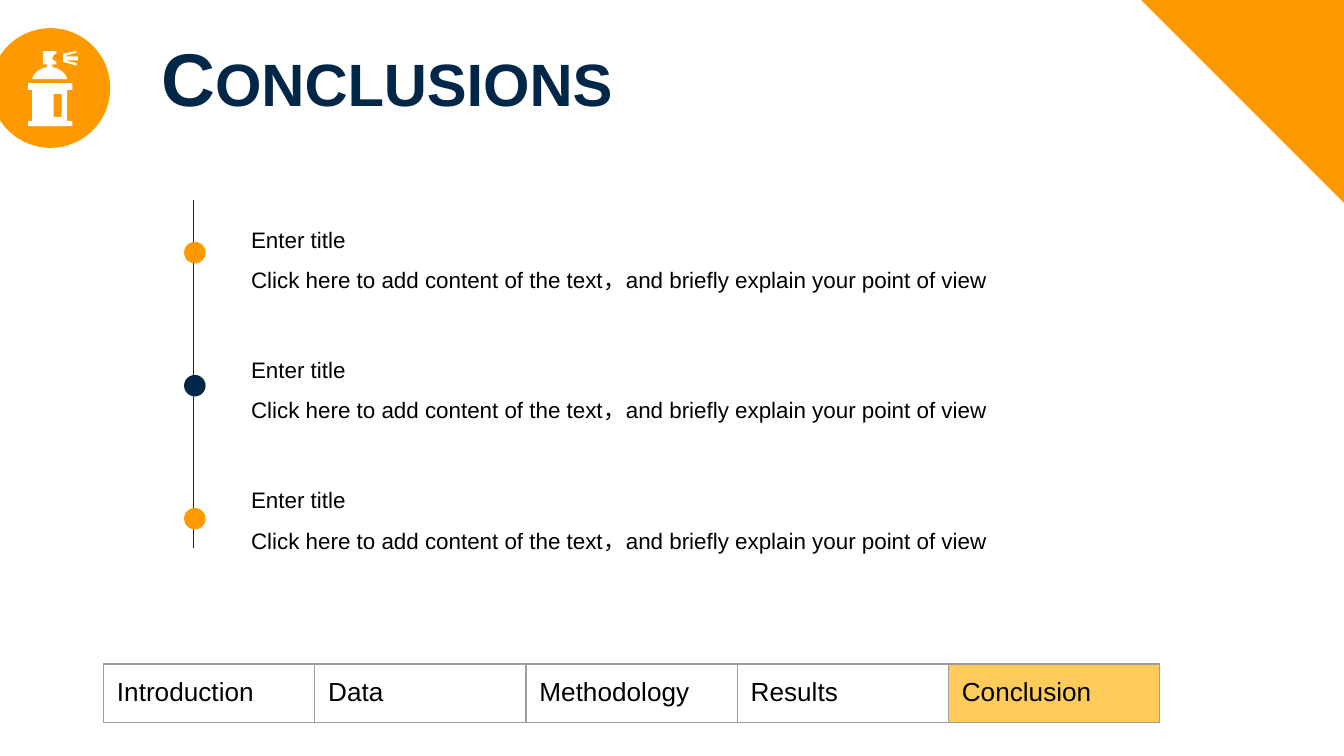
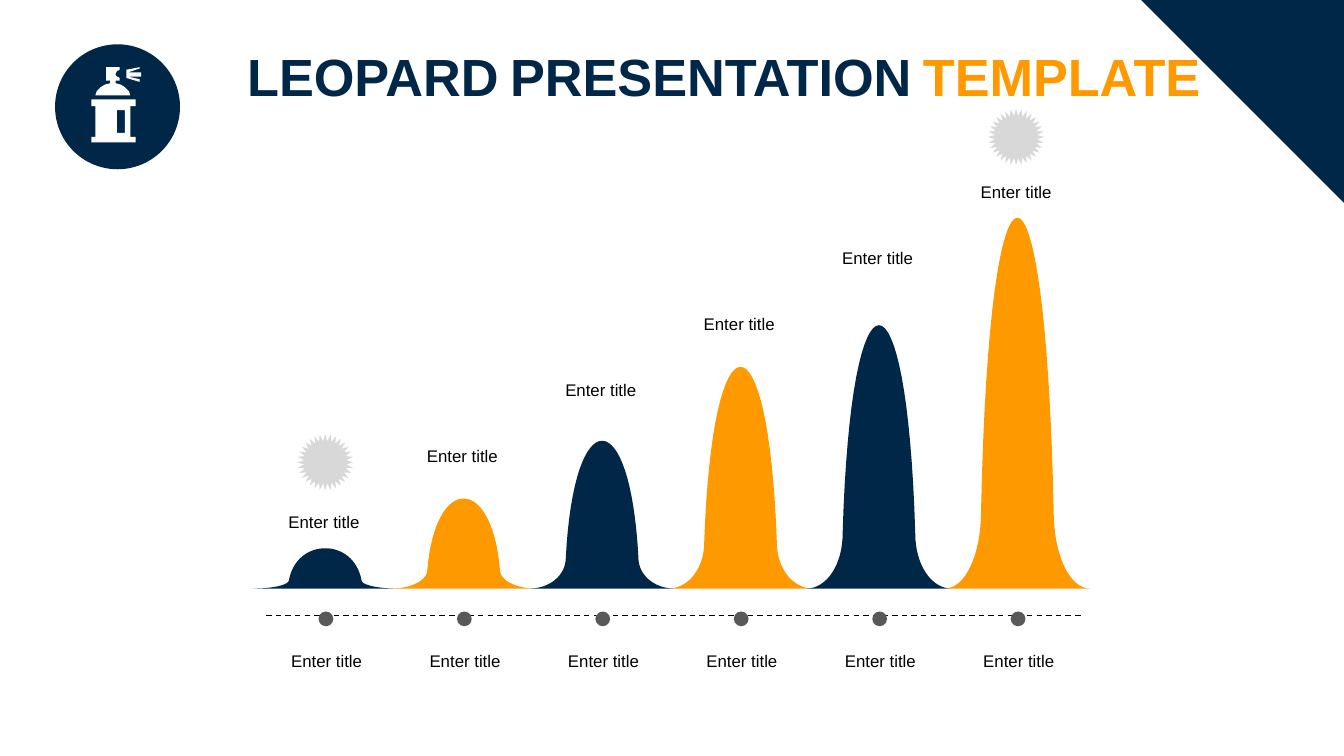
from copy import deepcopy
from dataclasses import dataclass

from lxml import etree
from pptx import Presentation
from pptx.dml.color import RGBColor
from pptx.enum.dml import MSO_LINE
from pptx.enum.shapes import MSO_CONNECTOR, MSO_SHAPE
from pptx.enum.text import PP_ALIGN
from pptx.oxml.ns import qn
from pptx.util import Inches, Pt

OVAL = MSO_SHAPE.OVAL
WEDGE = MSO_SHAPE.RIGHT_TRIANGLE
STAR = MSO_SHAPE.STAR_32_POINT
STRAIGHT = MSO_CONNECTOR.STRAIGHT
DASH = MSO_LINE.DASH
LEFT, CENTER = PP_ALIGN.LEFT, PP_ALIGN.CENTER

FONT = "Arial"
NAVY, ORANGE, AMBER = "002748", "FF9900", "FFCC5C"
BLACK, WHITE = "000000", "FFFFFF"
SLATE, SILVER, GRID = "595959", "D8D8D8", "9E9E9E"

TITLE = "Enter title"
BODY = "Click here to add content of the text，and briefly explain your point of view"

# Badge icon, measured from its top left corner: body, window, spray, cap
ICON = [
    [(.29, .29), (.29, .52), (.33, .52), (.33, .56), (0, .56), (0, .52),
     (.03, .52), (.03, .29), (0, .29), (0, .24), (.33, .24), (.33, .29)],
    [(.25, .32), (.19, .32), (.19, .49), (.25, .49)],
    [(.36, .09), (.27, .07), (.37, .07), (.37, .04), (.27, .04), (.36, .01),
     (.36, 0), (.26, .02), (.26, .08), (.36, .11)],
    [(.18, .1), (.18, .12), (.22, .13), (.25, .15), (.28, .18), (.29, .21),
     (.03, .21), (.04, .18), (.07, .15), (.1, .13), (.14, .12), (.14, .1),
     (.11, .1), (.11, 0), (.21, 0), (.21, .02), (.19, .03), (.18, .05),
     (.18, .06), (.19, .07), (.21, .08), (.21, .1)],
]

Point = tuple[float, float]


@dataclass
class Entry:
    title: str
    body: str
    color: str


@dataclass
class Tab:
    name: str
    fill: str | None = None


@dataclass
class Peak:
    height: float
    color: str


@dataclass
class Part:
    text: str
    color: str


ENTRIES = [Entry(TITLE, BODY, color) for color in (ORANGE, NAVY, ORANGE)]
TABS = [Tab("Introduction", WHITE), Tab("Data", WHITE), Tab("Methodology"),
        Tab("Results"), Tab("Conclusion", AMBER)]
PEAKS = [Peak(.3, NAVY), Peak(.67, ORANGE), Peak(1.1, NAVY),
         Peak(1.65, ORANGE), Peak(1.96, NAVY), Peak(2.76, ORANGE)]


def rgb(color: str) -> RGBColor:
    return RGBColor.from_string(color)


def paint(shape, color: str) -> None:
    shape.shadow.inherit = False
    shape.fill.solid()
    shape.fill.fore_color.rgb = rgb(color)
    shape.line.fill.background()


def add_form(shapes, kind, x: float, y: float, size: float, color: str):
    shape = shapes.add_shape(kind, Inches(x), Inches(y), Inches(size), Inches(size))
    paint(shape, color)
    return shape


def add_free(shapes, loops: list[list[Point]], color: str) -> None:
    """Fill one outline made of closed loops, given in inches."""
    loops = [[(Inches(x), Inches(y)) for x, y in loop] for loop in loops]
    pen = shapes.build_freeform(*loops[0][0])
    for i, loop in enumerate(loops):
        if i:
            pen.move_to(*loop[0])
        pen.add_line_segments(loop[1:], close=True)
    paint(pen.convert_to_shape(), color)


def add_line(slide, start: Point, end: Point, color: str, dash=None) -> None:
    line = slide.shapes.add_connector(STRAIGHT, *map(Inches, start + end))
    line.line.color.rgb = rgb(color)
    line.line.width = Pt(.75)
    if dash is not None:
        line.line.dash_style = dash
    etree.SubElement(line._element.spPr, qn("a:effectLst"))


def style(run, size: float, color: str) -> None:
    run.font.name = FONT
    run.font.size = Pt(size)
    run.font.color.rgb = rgb(color)


def add_box(slide, x: float, y: float, w: float, h: float, pad: float):
    frame = slide.shapes.add_textbox(*map(Inches, (x, y, w, h))).text_frame
    frame.word_wrap = True
    frame.margin_left = frame.margin_right = Inches(pad)
    frame.margin_top = frame.margin_bottom = Inches(pad / 2)
    return frame


def add_text(slide, x: float, y: float, w: float, h: float, text: str,
             size: float, align=LEFT, space: float = 1.0) -> None:
    para = add_box(slide, x, y, w, h, .1).paragraphs[0]
    para.text = text
    para.alignment = align
    para.line_spacing = space
    for run in para.runs:
        style(run, size, BLACK)
    # Line breaks take the size of the text around them
    for gap in para._p.findall(qn("a:br")):
        gap.insert(0, deepcopy(para.runs[0].font._element))


def add_title(slide, x: float, y: float, w: float, h: float, size: float,
              parts: list[Part]) -> None:
    para = add_box(slide, x, y, w, h, .06).paragraphs[0]
    for part in parts:
        run = para.add_run()
        run.text = part.text
        style(run, size, part.color)
        run.font.bold = True
        run.font._element.set("cap", "small")


def add_corner(slide, color: str) -> None:
    add_form(slide.shapes, WEDGE, 8.48, -.01, 1.54, color).rotation = 180


def add_badge(slide, x: float, y: float, size: float, icon: Point, color: str) -> None:
    shapes = slide.shapes.add_group_shape().shapes
    add_form(shapes, OVAL, x, y, size, color)
    left, top = icon
    add_free(shapes, [[(left + dx, top + dy) for dx, dy in loop] for loop in ICON], WHITE)


def add_edge(cell, side: str) -> None:
    edge = etree.SubElement(cell._tc.get_or_add_tcPr(), qn(f"a:{side}"), w=str(Pt(.75)))
    fill = etree.SubElement(edge, qn("a:solidFill"))
    etree.SubElement(fill, qn("a:srgbClr"), val=GRID)


def add_tabs(slide, tabs: list[Tab]) -> None:
    frame = slide.shapes.add_table(1, len(tabs), *map(Inches, (.77, 4.94, 7.86, .43)))
    table = frame.table
    table.first_row = table.horz_banding = False
    table.rows[0].height = Inches(.32)
    frame.height = Inches(.43)
    for cell, tab in zip(table.rows[0].cells, tabs):
        cell.text = tab.name
        style(cell.text_frame.paragraphs[0].runs[0], 14, BLACK)
        cell.margin_left = cell.margin_right = Inches(.1)
        cell.margin_top = cell.margin_bottom = Inches(.1)
        for side in ("lnL", "lnR", "lnT", "lnB"):
            add_edge(cell, side)
        if tab.fill:
            cell.fill.solid()
            cell.fill.fore_color.rgb = rgb(tab.fill)
        else:
            cell.fill.background()


def curve(a: Point, b: Point, c: Point, d: Point, steps: int = 16) -> list[Point]:
    """Points along a cubic curve, without its start."""
    points = []
    for i in range(1, steps + 1):
        t = i / steps
        s = 1 - t
        mix = (s ** 3, 3 * s * s * t, 3 * s * t * t, t ** 3)
        points.append(tuple(sum(m * p[k] for m, p in zip(mix, (a, b, c, d)))
                            for k in (0, 1)))
    return points


def add_peak(slide, mid: float, base: float, peak: Peak) -> None:
    # Right half as offset and share of the height, then mirrored
    side = [(0, 1)]
    side += curve((0, 1), (.12, 1), (.24, .74), (.27, .21))
    side += curve((.27, .21), (.27, .09), (.39, 0), (.54, 0))
    side += [(-x, y) for x, y in side[:0:-1]]
    add_free(slide.shapes, [[(mid + x, base - y * peak.height) for x, y in side]],
             peak.color)


def build_end(slide) -> None:
    add_corner(slide, ORANGE)
    # Timeline with its entries
    add_line(slide, (1.44, 1.49), (1.44, 4.08), NAVY)
    for i, entry in enumerate(ENTRIES):
        add_form(slide.shapes, OVAL, 1.37, 1.8 + .99 * i, .16, entry.color)
        add_text(slide, 1.77, 1.53 + .97 * i, 6.87, 1.01,
                 f"{entry.title}\v{entry.body}", 12, space=1.5)
    add_tabs(slide, TABS)
    add_title(slide, 1.14, .21, 5.88, .6, 40, [Part("Conclusions", NAVY)])
    add_badge(slide, -.07, .21, .89, (.21, .38), ORANGE)


def build_peaks(slide) -> None:
    add_badge(slide, .41, .33, .93, (.68, .5), NAVY)
    add_corner(slide, NAVY)
    add_title(slide, 1.78, .3, 7.3, 1, 28,
              [Part("LEOPARD PRESENTATION ", NAVY), Part("TEMPLATE", ORANGE)])
    # Axis, peaks and their labels
    add_line(slide, (1.98, 4.58), (8.07, 4.58), BLACK, DASH)
    rise = (3.76 - 1.3) / (len(PEAKS) - 1)
    for i, peak in enumerate(PEAKS):
        shift = 1.03 * i
        add_form(slide.shapes, OVAL, 2.37 + shift, 4.55, .11, SLATE)
        add_peak(slide, 2.42 + shift, 4.38, peak)
        add_text(slide, 1.96 + shift, 4.79, .94, .4, TITLE, 9, CENTER)
        add_text(slide, 1.94 + shift, 3.76 - rise * i, .94, .4, TITLE, 9, CENTER)
    # Stars over the first and last peak
    for x, y in ((2.21, 3.23), (7.35, .81)):
        add_form(slide.shapes, STAR, x, y, .42, SILVER).adjustments[0] = .375


def main() -> None:
    deck = Presentation()
    deck.slide_width = Inches(10)
    deck.slide_height = deck.slide_width * 9 // 16
    for build in (build_end, build_peaks):
        build(deck.slides.add_slide(deck.slide_layouts[6]))
    deck.save("out.pptx")


if __name__ == "__main__":
    main()
